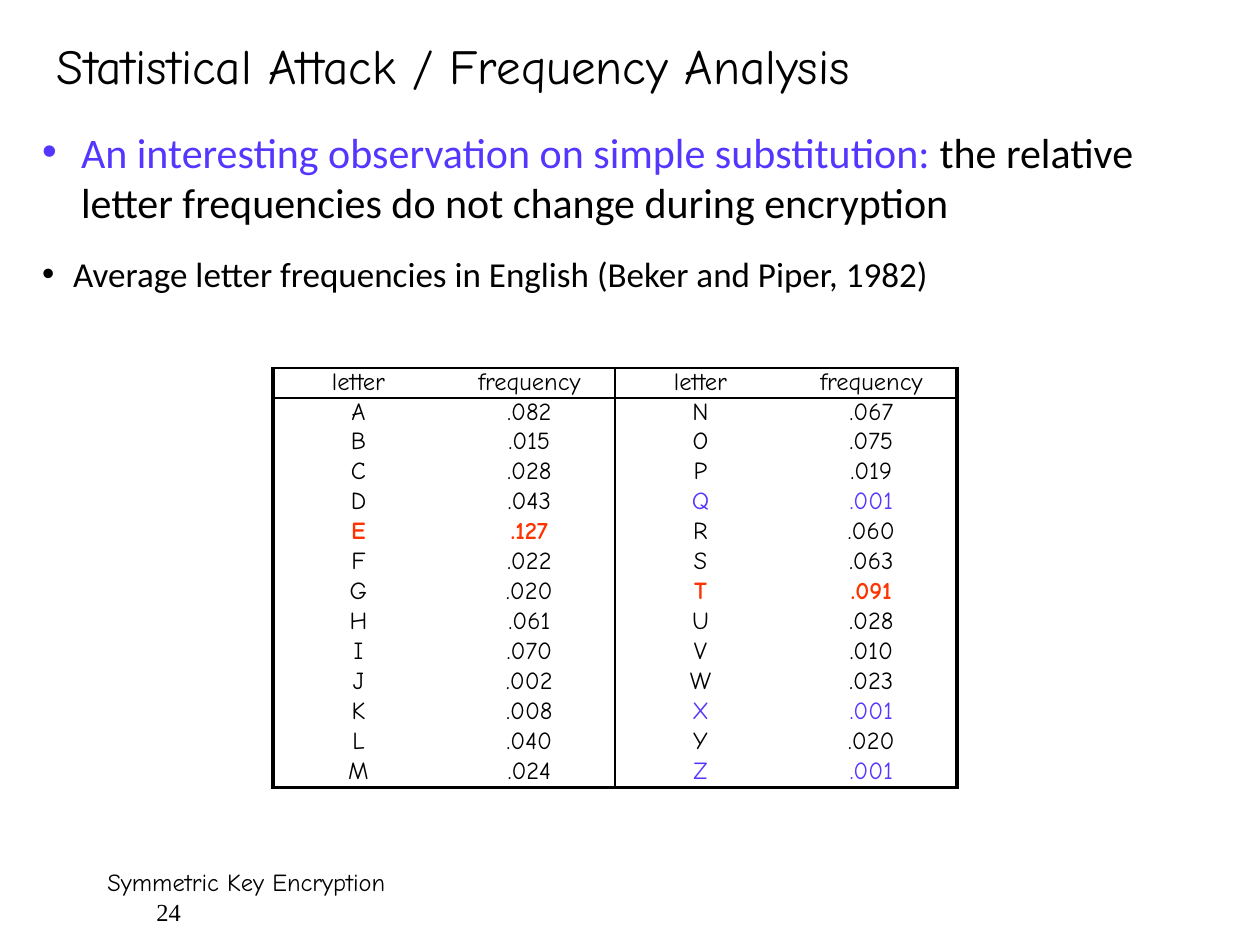
from dataclasses import dataclass

from lxml.etree import SubElement as Sub
from pptx import Presentation
from pptx.dml.color import RGBColor as RGB
from pptx.enum.text import MSO_ANCHOR as Anchor, MSO_AUTO_SIZE as Fit, PP_ALIGN as Align
from pptx.oxml.ns import qn
from pptx.util import Pt

EMU = 914400 // 126


@dataclass(frozen=True)
class Theme:
    black: str = "000000"
    blue: str = "5437FF"
    red: str = "FF3300"
    hand: str = "Comic Neue"
    sans: str = "Calibri"
    serif: str = "Times New Roman"
    title: int = 28
    lead: int = 24
    item: int = 20
    small: int = 14
    thin: float = 1
    thick: float = 2.25


THEME = Theme()
HEAD = ("letter", "frequency")
RATES = {
    "A": ".082", "B": ".015", "C": ".028", "D": ".043", "E": ".127",
    "F": ".022", "G": ".020", "H": ".061", "I": ".070", "J": ".002",
    "K": ".008", "L": ".040", "M": ".024", "N": ".067", "O": ".075",
    "P": ".019", "Q": ".001", "R": ".060", "S": ".063", "T": ".091",
    "U": ".028", "V": ".010", "W": ".023", "X": ".001", "Y": ".020",
    "Z": ".001",
}
COMMON, RARE = "ET", "QXZ"


def px(n):
    return n * EMU


def style(font, size, name, color=THEME.black, bold=False):
    font.size = Pt(size)
    font.name = name
    font.bold = bold
    font.color.rgb = RGB.from_string(color)


def place(shape, x, y, w, h):
    shape.left, shape.top, shape.width, shape.height = map(px, (x, y, w, h))


def setup(holder, box, wrap=True):
    place(holder, *box)
    frame = holder.text_frame
    frame.margin_left = frame.margin_right = 0
    frame.margin_top = frame.margin_bottom = 0
    frame.word_wrap = wrap
    frame.auto_size = Fit.SHAPE_TO_FIT_TEXT
    frame.vertical_anchor = Anchor.TOP
    para = frame.paragraphs[0]
    para.alignment = Align.LEFT
    para.space_before = Pt(0)
    return para


def add_title(holder, box, text):
    para = setup(holder, box, wrap=False)
    para.text = text
    style(para.font, THEME.title, THEME.hand)


def add_bullet(holder, box, hang, size, parts):
    para = setup(holder, box)
    props = para._p.get_or_add_pPr()
    props.set("marL", str(px(hang)))
    props.set("indent", str(px(-hang)))
    Sub(props, qn("a:buChar")).set("char", "•")
    style(para.font, size, THEME.sans)
    for text, color in parts:
        run = para.add_run()
        run.text = text
        run.font.color.rgb = RGB.from_string(color)


def add_edge(cell, side, width):
    line = Sub(cell._tc.get_or_add_tcPr(), qn(f"a:ln{side}"))
    if width:
        line.set("w", str(Pt(width)))
        fill = Sub(line, qn("a:solidFill"))
        Sub(fill, qn("a:srgbClr")).set("val", THEME.black)
    else:
        Sub(line, qn("a:noFill"))


def add_cell(cell, text, color, bold, edges):
    cell.margin_left = cell.margin_right = 0
    cell.margin_top = cell.margin_bottom = 0
    for side, width in edges.items():
        add_edge(cell, side, width)
    cell.fill.background()
    para = cell.text_frame.paragraphs[0]
    para.text = text
    para.alignment = Align.CENTER
    style(para.font, THEME.small, THEME.hand, color, bold)


def edges_at(row, col, last):
    thin, thick = THEME.thin, THEME.thick
    return {
        "L": {0: thick, 2: thin}.get(col),
        "R": {1: thin, 3: thick}.get(col),
        "T": thin if row < 2 else None,
        "B": {0: thin, last: thick}.get(row),
    }


def add_rates(slide, x, y, wide, high):
    pairs = list(RATES.items())
    half = len(pairs) // 2
    rows = [HEAD + HEAD] + [a + b for a, b in zip(pairs[:half], pairs[half:])]
    frame = slide.shapes.add_table(
        len(rows), 4, px(x), px(y), px(4 * wide), px(high * len(rows)))
    table = frame.table
    table.first_row = table.horz_banding = False
    for col in table.columns:
        col.width = px(wide)
    for r, row in enumerate(rows):
        table.rows[r].height = px(high)
        for c, text in enumerate(row):
            key = row[c - c % 2]
            bold = key in COMMON
            color = THEME.red if bold else THEME.blue if key in RARE else THEME.black
            add_cell(table.cell(r, c), text, color, bold, edges_at(r, c, half))


def add_foot(slide, box, label, page, shift):
    frame = slide.shapes.add_textbox(*map(px, box)).text_frame
    frame.word_wrap = True
    first, second = frame.paragraphs[0], frame.add_paragraph()
    first.text, second.text = label, page
    second._p.get_or_add_pPr().set("marL", str(px(shift)))
    style(first.font, THEME.small, THEME.hand)
    style(second.font, THEME.small, THEME.serif)


def main():
    deck = Presentation()
    deck.slide_width, deck.slide_height = px(1260), px(945)
    slide = deck.slides.add_slide(deck.slide_layouts[3])
    title, lead, note = slide.placeholders
    add_title(title, (57, 35, 917, 59), "Statistical Attack / Frequency Analysis")
    add_bullet(lead, (42, 126, 1187, 102), 39, THEME.lead, [
        ("An interesting observation on simple substitution: ", THEME.blue),
        ("the relative letter frequencies do not change during encryption", THEME.black),
    ])
    add_bullet(note, (42, 252, 1197, 43), 31, THEME.item, [
        ("Average letter frequencies in English (Beker and Piper, 1982)", THEME.black),
    ])
    add_rates(slide, 273, 368, 171, 30)
    add_foot(slide, (95, 861, 1081, 63), "Symmetric Key Encryption", "24", 49)
    deck.save("out.pptx")


if __name__ == "__main__":
    main()
